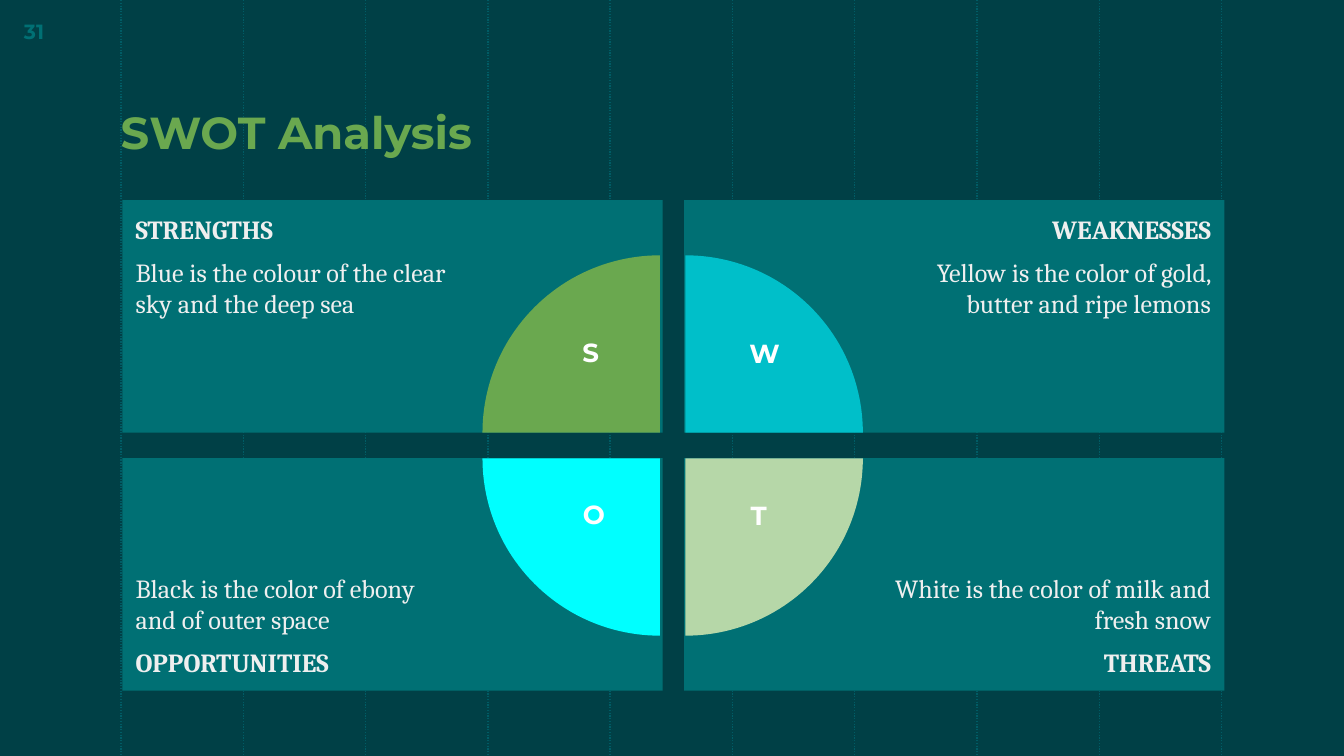
from lxml.etree import SubElement
from pptx import Presentation
from pptx.dml.color import RGBColor
from pptx.enum.dml import MSO_LINE
from pptx.enum.shapes import MSO_CONNECTOR, MSO_SHAPE
from pptx.enum.text import MSO_ANCHOR, PP_ALIGN
from pptx.oxml.ns import qn
from pptx.util import Inches, Pt

BACKGROUND = RGBColor(0x00, 0x40, 0x46)
GUIDE = RGBColor(0x00, 0x5C, 0x65)
PANEL = RGBColor(0x00, 0x70, 0x74)
PALE = RGBColor(0xEF, 0xEF, 0xEF)
WHITE = RGBColor(0xFF, 0xFF, 0xFF)
GREEN = RGBColor(0x6A, 0xA8, 0x4F)
TEAL = RGBColor(0x00, 0xBF, 0xC9)
CYAN = RGBColor(0x00, 0xFF, 0xFF)
MINT = RGBColor(0xB6, 0xD7, 0xA8)

HEADING_FONT, BODY_FONT = "Montserrat", "Cambria"
TITLE = "SWOT Analysis"
PAGE_NUMBER = "31"

# column, row, heading, description, pie colour, pie rotation, letter, letter box
QUADRANTS = [
    (0, 0, "STRENGTHS", "Blue is the colour of the clear sky and the deep sea",
     GREEN, 0, "S", (4.2, 2.45, 0.39, 0.49)),
    (1, 0, "WEAKNESSES", "Yellow is the color of gold, butter and ripe lemons",
     TEAL, 90, "W", (5.31, 2.46, 0.76, 0.47)),
    (1, 1, "THREATS", "White is the color of milk and fresh snow",
     MINT, 180, "T", (5.44, 3.67, 0.41, 0.47)),
    (0, 1, "OPPORTUNITIES", "Black is the color of ebony and of outer space",
     CYAN, 270, "O", (4.16, 3.66, 0.52, 0.49)),
]

WIDTH, HEIGHT = 10, 5.625
GUIDE_COUNT, GUIDE_LEFT, GUIDE_STEP = 10, 0.9, 0.91
PANEL_LEFTS, PANEL_TOPS = (0.91, 5.09), (1.49, 3.41)
PANEL_WIDTH, PANEL_HEIGHT = 4.02, 1.73
PIE_LEFTS, PIE_TOPS, PIE_SIZE = (3.59, 3.78), (1.9, 2.09), 2.64
MARGIN, PIE_MARGIN = 0.1, 1.5


def add_span(para, text, font, size, color, bold):
    span = para.add_run()
    span.text = text
    span.font.name = font
    span.font.size = Pt(size)
    span.font.color.rgb = color
    span.font.bold = bold


def set_insets(frame, left, top, right, bottom):
    frame.margin_left, frame.margin_top = Inches(left), Inches(top)
    frame.margin_right, frame.margin_bottom = Inches(right), Inches(bottom)


def add_label(page, place, text, size, color, align=PP_ALIGN.LEFT):
    """Add a one-line bold text box and return its text frame."""
    frame = page.shapes.add_textbox(*map(Inches, place)).text_frame
    frame.word_wrap = True
    para = frame.paragraphs[0]
    para.alignment = align
    add_span(para, text, HEADING_FONT, size, color, True)
    return frame


def add_plain_shape(page, kind, place, color):
    shape = page.shapes.add_shape(kind, *map(Inches, place))
    shape.shadow.inherit = False
    shape.fill.solid()
    shape.fill.fore_color.rgb = color
    shape.line.fill.background()
    return shape


def add_guide(page, left):
    guide = page.shapes.add_connector(
        MSO_CONNECTOR.STRAIGHT, Inches(left), 0, Inches(left), Inches(HEIGHT))
    guide.line.color.rgb = GUIDE
    guide.line.width = Pt(0.75)
    guide.line.dash_style = MSO_LINE.ROUND_DOT
    SubElement(guide._element.spPr, qn("a:effectLst"))


def add_panel(page, column, row, heading, description):
    panel = add_plain_shape(
        page, MSO_SHAPE.RECTANGLE,
        (PANEL_LEFTS[column], PANEL_TOPS[row], PANEL_WIDTH, PANEL_HEIGHT), PANEL)
    frame = panel.text_frame
    frame.word_wrap = True
    frame.vertical_anchor = MSO_ANCHOR.BOTTOM if row else MSO_ANCHOR.TOP
    left, right = (PIE_MARGIN, MARGIN) if column else (MARGIN, PIE_MARGIN)
    set_insets(frame, left, MARGIN, right, MARGIN)
    lines = [(heading, True), (description, False)]
    if row:
        lines.reverse()
    for index, (text, bold) in enumerate(lines):
        para = frame.add_paragraph() if index else frame.paragraphs[0]
        para.alignment = PP_ALIGN.RIGHT if column else PP_ALIGN.LEFT
        if index:
            para.space_before = para.space_after = Pt(6)
        add_span(para, text, BODY_FONT, 14, PALE, bold)


def add_pie(page, column, row, color, rotation):
    pie = add_plain_shape(
        page, MSO_SHAPE.PIE,
        (PIE_LEFTS[column], PIE_TOPS[row], PIE_SIZE, PIE_SIZE), color)
    # Angles of 180 and 270 degrees, in units of 100000/60000 degree
    pie.adjustments[0] = 108
    pie.adjustments[1] = 162
    pie.rotation = rotation


def main():
    deck = Presentation()
    deck.slide_width, deck.slide_height = Inches(WIDTH), Inches(HEIGHT)
    page = deck.slides.add_slide(deck.slide_layouts[6])
    page.background.fill.solid()
    page.background.fill.fore_color.rgb = BACKGROUND

    for index in range(GUIDE_COUNT):
        add_guide(page, GUIDE_LEFT + index * GUIDE_STEP)

    add_label(page, (0.08, 0.09, 0.6, 0.3), PAGE_NUMBER, 11, PANEL)
    title = add_label(page, (0.8, 0.52, 6.47, 0.76), TITLE, 24, GREEN)
    title.vertical_anchor = MSO_ANCHOR.BOTTOM
    set_insets(title, MARGIN, MARGIN, MARGIN, MARGIN)

    for column, row, heading, description, *_ in QUADRANTS:
        add_panel(page, column, row, heading, description)
    for column, row, _, _, color, rotation, letter, place in QUADRANTS:
        add_pie(page, column, row, color, rotation)
    for *_, letter, place in QUADRANTS:
        add_label(page, place, letter, 14, WHITE, PP_ALIGN.CENTER)

    deck.save("out.pptx")


if __name__ == "__main__":
    main()
